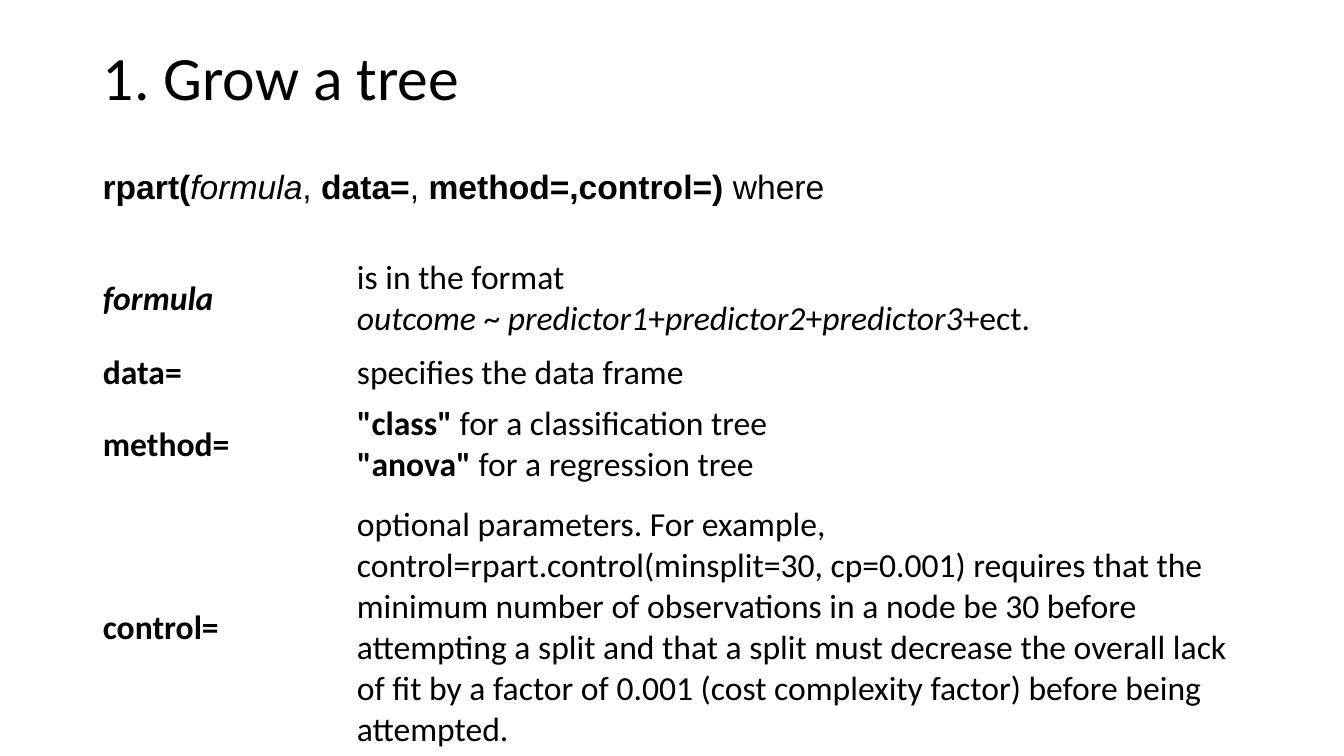
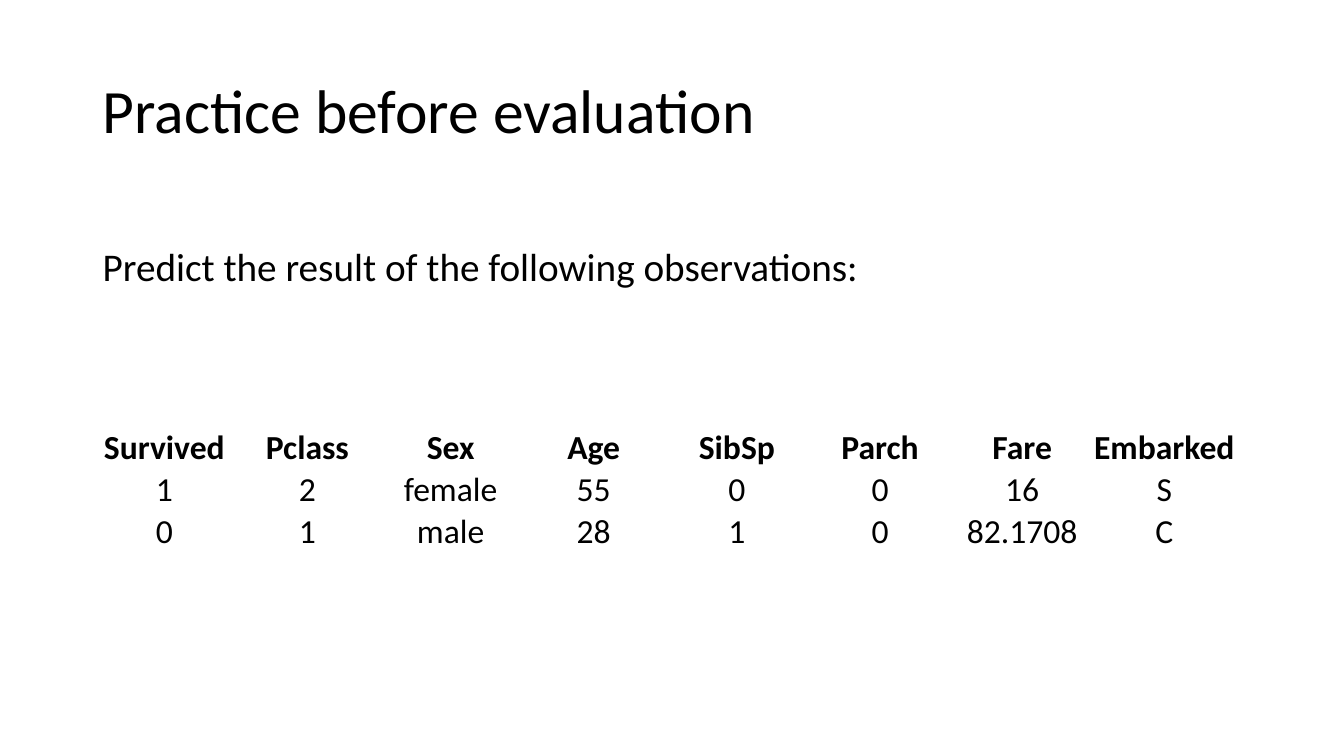
"""Build two slides on growing and practising with classification trees."""
from typing import NamedTuple

from pptx import Presentation
from pptx.dml.color import RGBColor
from pptx.enum.text import MSO_ANCHOR as Anchor, MSO_AUTO_SIZE as AutoSize, PP_ALIGN as Align
from pptx.util import Inches, Pt

COLORS = {"text": "000000", "page": "FFFFFF"}
BODY_FONT, CODE_FONT = "Calibri", "Arial"
LEFT = 0.92
TITLE_WIDTH, TITLE_HEIGHT = 11.5, 1.45
TITLE_SIZE, LEAD_SIZE, TABLE_SIZE = 44, 28, 24


class Span(NamedTuple):
    text: str
    bold: bool = False
    italic: bool = False


class Box(NamedTuple):
    top: float
    width: float
    height: float


class CellStyle(NamedTuple):
    anchor: Anchor
    align: Align
    insets: tuple[float, float, float, float]


Line = list[Span]
Lines = list[Line]

DEFINITION_STYLE = CellStyle(Anchor.MIDDLE, Align.LEFT, (0.1, 0.05, 0.1, 0.05))
DATA_STYLE = CellStyle(Anchor.BOTTOM, Align.CENTER, (0.01, 0.01, 0.01, 0))

CALL = [
    Span("rpart(", bold=True), Span("formula", italic=True), Span(", "),
    Span("data=", bold=True), Span(", "),
    Span("method=,control=)", bold=True), Span(" where"),
]
ARGUMENTS = [
    [
        [[Span("formula", bold=True, italic=True)]],
        [
            [Span("is in the format ")],
            [
                Span("outcome", italic=True), Span(" ~ "),
                Span("predictor1", italic=True), Span("+"),
                Span("predictor2", italic=True), Span("+"),
                Span("predictor3", italic=True), Span("+ect."),
            ],
        ],
    ],
    [[[Span("data=", bold=True)]], [[Span("specifies the data frame")]]],
    [
        [[Span("method=", bold=True)]],
        [
            [Span('"class"', bold=True), Span(" for a classification tree ")],
            [Span('"anova"', bold=True), Span(" for a regression tree")],
        ],
    ],
    [
        [[Span("control=", bold=True)]],
        [[Span(
            "optional parameters. For example, control=rpart.control(minsplit=30, cp=0.001) "
            "requires that the minimum number of observations in a node be 30 before "
            "attempting a split and that a split must decrease the overall lack of fit by a "
            "factor of 0.001 (cost complexity factor) before being attempted."
        )]],
    ],
]
OBSERVATIONS = [
    ["Survived", "Pclass", "Sex", "Age", "SibSp", "Parch", "Fare", "Embarked"],
    ["1", "2", "female", "55", "0", "0", "16", "S"],
    ["0", "1", "male", "28", "1", "0", "82.1708", "C"],
]


def write_lines(para, lines: Lines, size: float, font: str = BODY_FONT) -> None:
    for index, line in enumerate(lines):
        if index:
            para.add_line_break()
        for span in line:
            run = para.add_run()
            run.text = span.text
            run.font.name = font
            run.font.size = Pt(size)
            run.font.bold = span.bold
            run.font.italic = span.italic
            run.font.color.rgb = RGBColor.from_string(COLORS["text"])


def add_titled_page(deck, title: str, top: float):
    page = deck.slides.add_slide(deck.slide_layouts[5])
    page.background.fill.solid()
    page.background.fill.fore_color.rgb = RGBColor.from_string(COLORS["page"])
    box = page.shapes.title
    box.left, box.top = Inches(LEFT), Inches(top)
    box.width, box.height = Inches(TITLE_WIDTH), Inches(TITLE_HEIGHT)
    frame = box.text_frame
    frame.auto_size = AutoSize.NONE
    frame.vertical_anchor = Anchor.MIDDLE
    para = frame.paragraphs[0]
    para.alignment = Align.LEFT
    para.line_spacing = 0.9
    write_lines(para, [[Span(title)]], TITLE_SIZE)
    return page


def add_lead(page, box: Box, line: Line, size: float, font: str = BODY_FONT) -> None:
    shape = page.shapes.add_textbox(
        Inches(LEFT), Inches(box.top), Inches(box.width), Inches(box.height)
    )
    frame = shape.text_frame
    frame.word_wrap = True
    write_lines(frame.paragraphs[0], [line], size, font)


def add_plain_table(page, top: float, widths: list[float], heights: list[float],
                    rows: list[list[Lines]], style: CellStyle) -> None:
    table = page.shapes.add_table(
        len(heights), len(widths), Inches(LEFT), Inches(top),
        Inches(sum(widths)), Inches(sum(heights)),
    ).table
    table.first_row = table.horz_banding = False
    for column, width in zip(table.columns, widths):
        column.width = Inches(width)
    for row, height, contents in zip(table.rows, heights, rows):
        row.height = Inches(height)
        for cell, lines in zip(row.cells, contents):
            cell.fill.background()
            cell.vertical_anchor = style.anchor
            (cell.margin_left, cell.margin_top,
             cell.margin_right, cell.margin_bottom) = map(Inches, style.insets)
            para = cell.text_frame.paragraphs[0]
            para.alignment = style.align
            write_lines(para, lines, TABLE_SIZE)


def build_grow_page(deck) -> None:
    page = add_titled_page(deck, "1. Grow a tree", 0.07)
    add_plain_table(page, 2.48, [2.52, 9.12], [0.97, 0.39, 0.68, 2.72],
                    ARGUMENTS, DEFINITION_STYLE)
    add_lead(page, Box(1.6, 7.43, 0.91), CALL, TABLE_SIZE, CODE_FONT)


def build_practice_page(deck) -> None:
    page = add_titled_page(deck, "Practice before evaluation", 0.4)
    rows = [
        [[[Span(value, bold=index == 0)]] for value in values]
        for index, values in enumerate(OBSERVATIONS)
    ]
    add_plain_table(page, 4.23, [1.42] * 6 + [1.4, 1.42], [0.21] * 3, rows, DATA_STYLE)
    add_lead(page, Box(2.35, 7.78, 0.57),
             [Span("Predict the result of the following observations:")], LEAD_SIZE)


def main() -> None:
    deck = Presentation()
    deck.slide_width, deck.slide_height = Inches(13.33), Inches(7.5)
    build_grow_page(deck)
    build_practice_page(deck)
    deck.save("out.pptx")


if __name__ == "__main__":
    main()
